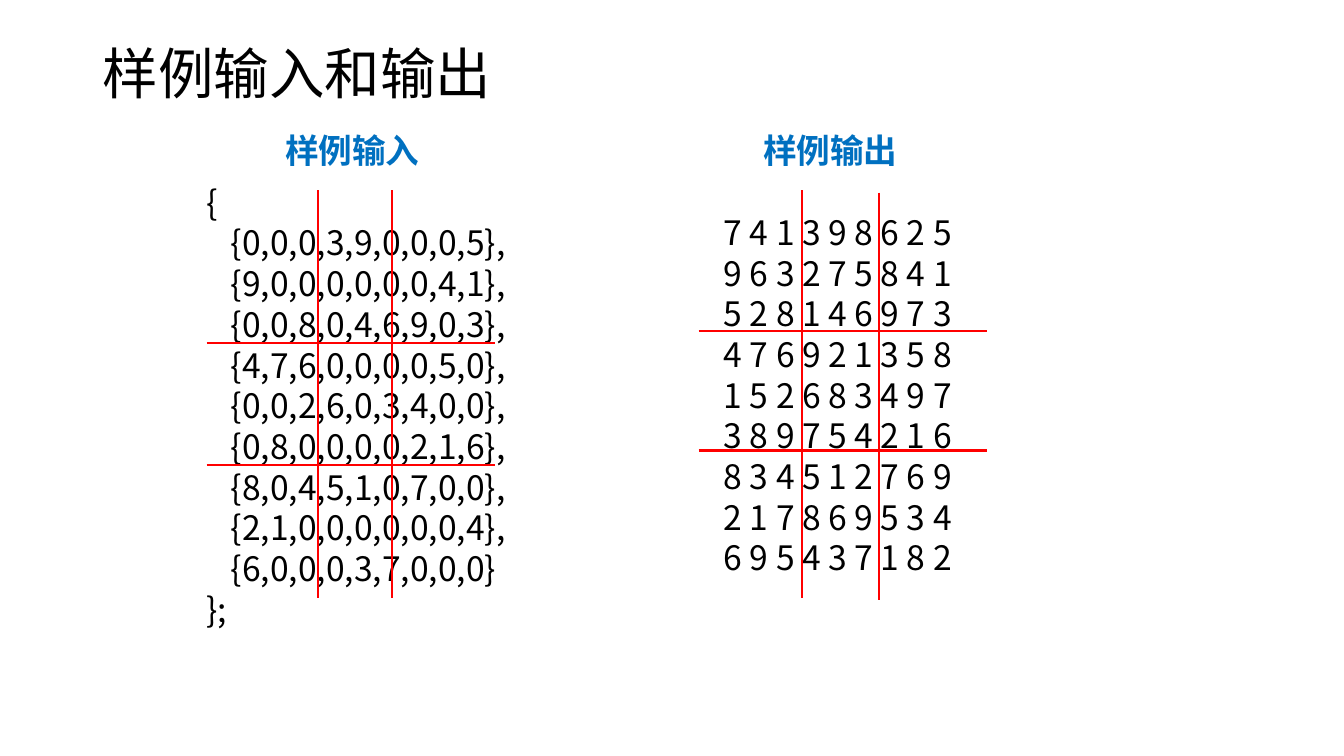
import pptx
import pptx.util
import pptx.dml.color
import pptx.enum.shapes
import pptx.enum.text
import pptx.oxml

PX = 9144  # 100 px to the inch
FONT = "Noto Sans CJK SC"
BLACK = pptx.dml.color.RGBColor(0x00, 0x00, 0x00)
BLUE = pptx.dml.color.RGBColor(0x00, 0x70, 0xC0)
RED = pptx.dml.color.RGBColor(0xFF, 0x00, 0x00)

TITLE = {"size": pptx.util.Pt(39.6), "color": BLACK}
HEADING = {"size": pptx.util.Pt(24), "color": BLUE, "bold": True}
DIGITS = {"size": pptx.util.Pt(24), "color": BLACK}
ROW_PITCH = pptx.util.Pt(29.05)
ROW_INDENT = 24

INPUT_ROWS = [
    "{0,0,0,3,9,0,0,0,5},",
    "{9,0,0,0,0,0,0,4,1},",
    "{0,0,8,0,4,6,9,0,3},",
    "{4,7,6,0,0,0,0,5,0},",
    "{0,0,2,6,0,3,4,0,0},",
    "{0,8,0,0,0,0,2,1,6},",
    "{8,0,4,5,1,0,7,0,0},",
    "{2,1,0,0,0,0,0,0,4},",
    "{6,0,0,0,3,7,0,0,0}",
]
OUTPUT_ROWS = [
    "7 4 1 3 9 8 6 2 5",
    "9 6 3 2 7 5 8 4 1",
    "5 2 8 1 4 6 9 7 3",
    "4 7 6 9 2 1 3 5 8",
    "1 5 2 6 8 3 4 9 7",
    "3 8 9 7 5 4 2 1 6",
    "8 3 4 5 1 2 7 6 9",
    "2 1 7 8 6 9 5 3 4",
    "6 9 5 4 3 7 1 8 2",
]


def add_run(p, text, style):
    r = p.add_run()
    r.text = text
    r.font.name = FONT
    for name, value in style.items():
        if name == "color":
            r.font.color.rgb = value
        else:
            setattr(r.font, name, value)
    ea = pptx.oxml.parse_xml(
        '<a:ea xmlns:a="http://schemas.openxmlformats.org/drawingml/2006/main"'
        f' typeface="{FONT}"/>')
    r.font._element.find(pptx.oxml.ns.qn("a:latin")).addnext(ea)


def place(sp, box):
    for name, value in zip(("left", "top", "width", "height"), box):
        setattr(sp, name, value * PX)


def set_title(s, text, box):
    sp = s.shapes.title
    place(sp, box)
    tf = sp.text_frame
    tf.vertical_anchor = pptx.enum.text.MSO_ANCHOR.MIDDLE
    p = tf.paragraphs[0]
    p.alignment = pptx.enum.text.PP_ALIGN.LEFT
    p.line_spacing = 0.9
    add_run(p, text, TITLE)


def add_text(s, lines, box, style, pitch=None):
    """Add a text box with one paragraph per line and return its paragraphs."""
    sp = s.shapes.add_textbox(*(v * PX for v in box))
    tf = sp.text_frame
    tf.word_wrap = True
    for i, line in enumerate(lines):
        p = tf.add_paragraph() if i else tf.paragraphs[0]
        p.line_spacing = pitch
        add_run(p, line, style)
    return tf.paragraphs


def indent(paragraphs):
    for p in paragraphs:
        p._p.get_or_add_pPr().set("marL", str(ROW_INDENT * PX))


def add_line(s, x1, y1, x2, y2):
    c = s.shapes.add_connector(pptx.enum.shapes.MSO_CONNECTOR.STRAIGHT,
                               *(v * PX for v in (x1, y1, x2, y2)))
    c.line.color.rgb = RED
    c.line.width = pptx.util.Pt(1.5)
    c._element.spPr.append(pptx.oxml.parse_xml(
        '<a:effectLst xmlns:a="http://schemas.openxmlformats.org/drawingml/2006/main"/>'))


def add_block_lines(s, left, rows, columns):
    """Split a sudoku into 3 x 3 blocks; columns holds (x, top) pairs."""
    for y in rows:
        add_line(s, left, y, left + 286, y)
    for x, top in columns:
        add_line(s, x, top, x, top + 404)


def main():
    prs = pptx.Presentation()
    prs.slide_width, prs.slide_height = 1333 * PX, 750 * PX
    s = prs.slides.add_slide(prs.slide_layouts[5])
    set_title(s, "样例输入和输出", (92, 40, 1150, 72))

    code = add_text(s, ["{", *INPUT_ROWS, "};"], (195, 175, 357, 454), DIGITS, ROW_PITCH)
    indent(code[1:-1])
    add_text(s, OUTPUT_ROWS, (708, 205, 275, 374), DIGITS, ROW_PITCH)
    for text, left in (("样例输入", 273), ("样例输出", 747)):
        add_text(s, [text], (left, 124, 156, 50), HEADING, ROW_PITCH)

    add_block_lines(s, 205, (340, 461), ((315, 189), (389, 189)))
    add_block_lines(s, 693, (328, 447), ((795, 189), (872, 191)))
    prs.save("out.pptx")


if __name__ == "__main__":
    main()
